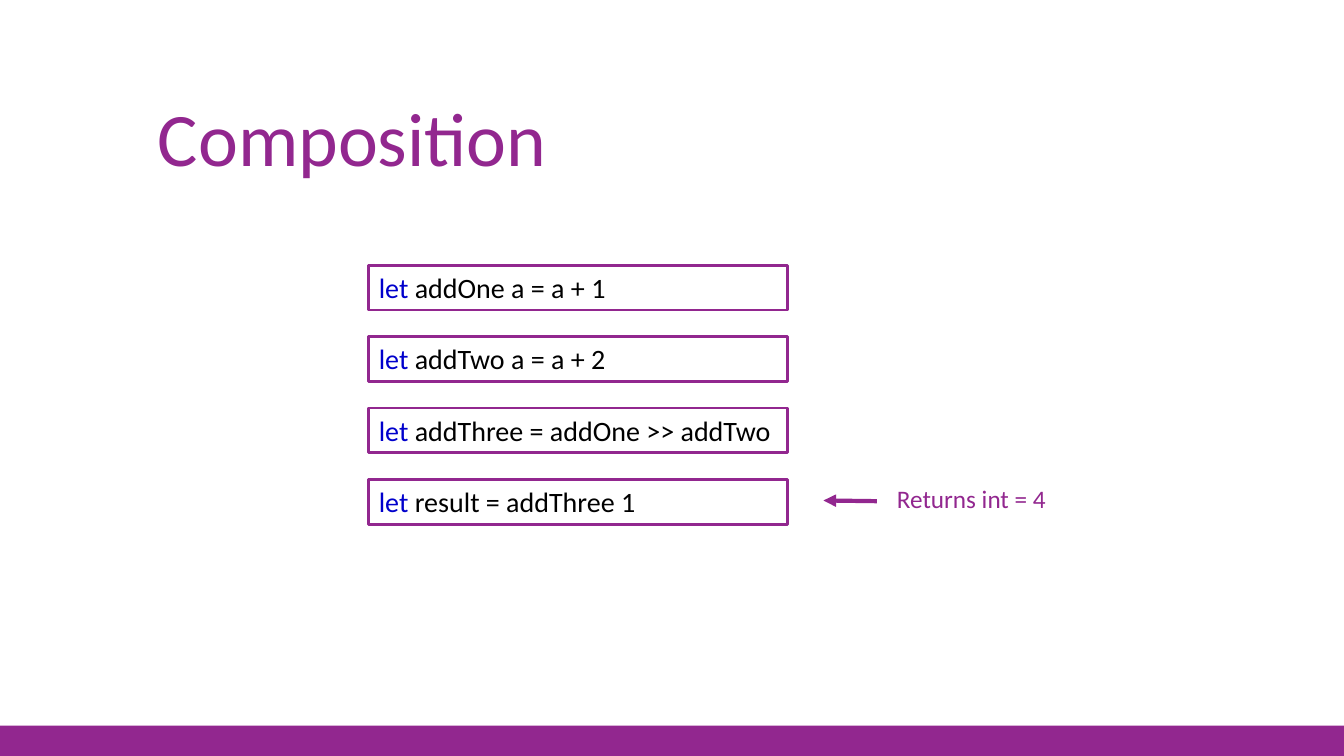
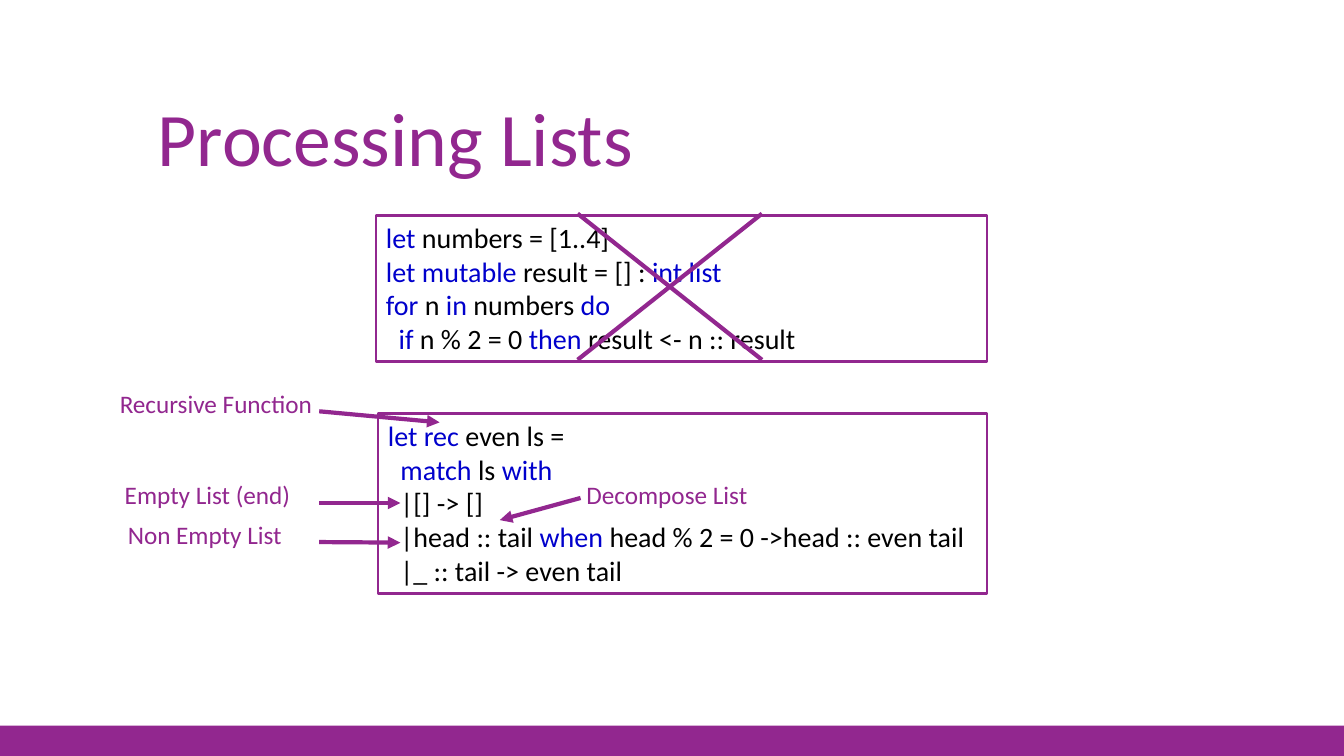
from dataclasses import dataclass
from itertools import groupby

from lxml import etree
from pptx import Presentation
from pptx.dml.color import RGBColor
from pptx.enum import shapes, text
from pptx.oxml import ns
from pptx.util import Pt


@dataclass(frozen=True)
class Theme:
    font: str = "Calibri"
    main: str = "92278F"
    paper: str = "FFFFFF"
    ink: str = "000000"
    key: str = "0000CC"
    title: int = 54
    code: int = 20
    label: int = 18
    words: frozenset = frozenset(
        "let rec mutable match with when for in do if then int list".split())


def rgb(value):
    return RGBColor.from_string(value)


def write(frame, body, *, font, size, color, key=None, words=(),
          wrap=True, anchor=text.MSO_ANCHOR.TOP, space=None):
    frame.word_wrap = wrap
    frame.vertical_anchor = anchor
    for i, line in enumerate(body.split("\n")):
        para = frame.add_paragraph() if i else frame.paragraphs[0]
        para.alignment = text.PP_ALIGN.LEFT
        para.line_spacing = space
        code = line.lstrip()
        depth = len(line) - len(code)
        if depth:
            para._p.get_or_add_pPr().set("marL", str(Pt(4.5 * depth)))
        groups = [(hit, " ".join(part)) for hit, part in
                  groupby(code.split(" "), lambda word: word in words)]
        for j, (hit, part) in enumerate(groups, 1):
            run = para.add_run()
            run.text = part + (" " if j < len(groups) else "")
            run.font.name = font
            run.font.size = Pt(size)
            run.font.color.rgb = rgb(key if hit else color)


class Deck:
    def __init__(self, theme):
        self.theme = theme
        self.file = Presentation()
        self.file.slide_width = Pt(960)
        self.file.slide_height = Pt(540)
        self.slide = None

    def page(self, title):
        self.slide = self.file.slides.add_slide(self.file.slide_layouts[6])
        self.rect(0, 518.4, 960, 21.6, self.theme.main)
        self.text(title, 105.8, 36.7, 748.8, 97.2, size=self.theme.title,
                  anchor=text.MSO_ANCHOR.BOTTOM, space=0.9)

    def rect(self, x, y, w, h, fill, line=None):
        shape = self.slide.shapes.add_shape(
            shapes.MSO_SHAPE.RECTANGLE, Pt(x), Pt(y), Pt(w), Pt(h))
        shape.shadow.inherit = False
        shape.fill.solid()
        shape.fill.fore_color.rgb = rgb(fill)
        if line:
            shape.line.color.rgb = rgb(line)
            shape.line.width = Pt(2)
        else:
            shape.line.fill.background()
        return shape

    def text(self, body, x, y, w, h, **style):
        box = self.slide.shapes.add_textbox(Pt(x), Pt(y), Pt(w), Pt(h))
        write(box.text_frame, body, font=self.theme.font,
              color=self.theme.main, **style)

    def code(self, body, x, y, w, h):
        theme = self.theme
        box = self.rect(x, y, w, h, theme.paper, theme.main)
        write(box.text_frame, body, font=theme.font, size=theme.code,
              color=theme.ink, key=theme.key, words=theme.words)

    def line(self, start, end, arrow=False):
        link = self.slide.shapes.add_connector(
            shapes.MSO_CONNECTOR.STRAIGHT, *map(Pt, start + end))
        link.line.color.rgb = rgb(self.theme.main)
        link.line.width = Pt(3)
        if arrow:
            tail = etree.SubElement(link.line._get_or_add_ln(), ns.qn("a:tailEnd"))
            tail.set("type", "triangle")
        etree.SubElement(link._element.spPr, ns.qn("a:effectLst"))

    def note(self, body, x, y, w, start, end):
        self.line(start, end, arrow=True)
        self.text(body, x, y, w, 29, size=self.theme.label, wrap=False)


deck = Deck(Theme())

deck.page("Composition")
steps = ["let addOne a = a + 1", "let addTwo a = a + 2",
         "let addThree = addOne >> addTwo", "let result = addThree 1"]
for i, step in enumerate(steps):
    deck.code(step, 263.5, 189.5 + 51 * i, 299, 32)
deck.note("Returns int = 4", 633.6, 342, 122.4, (626.4, 358), (588.2, 357.5))

deck.page("Processing Lists")
deck.code("""let numbers = [1..4]
let mutable result = [] : int list
for n in numbers do
  if n % 2 = 0 then result <- n :: result""", 268.6, 154, 436.4, 104.5)
deck.code("""let rec even ls =
  match ls with
  |[] -> []
  |head :: tail when head % 2 = 0 ->head :: even tail
  |_ :: tail -> even tail""", 270, 295.5, 435, 128.5)

left, right, top, base = 412.6, 544.3, 152.6, 257
deck.line((left, top), (right, base))
deck.line((right, top), (left, base))

notes = [
    ("Recursive Function", 78.5, 273.6, 153.4, (228, 293.8), (314, 301.7)),
    ("Empty List (end)", 82, 339, 134, (228, 359.3), (286, 359.3)),
    ("Non Empty List", 84.2, 367.2, 126, (228, 387.2), (286, 387.6)),
    ("Decompose List", 411.8, 339, 131, (414.7, 355.7), (357, 371.5)),
]
for item in notes:
    deck.note(*item)

deck.file.save("out.pptx")
